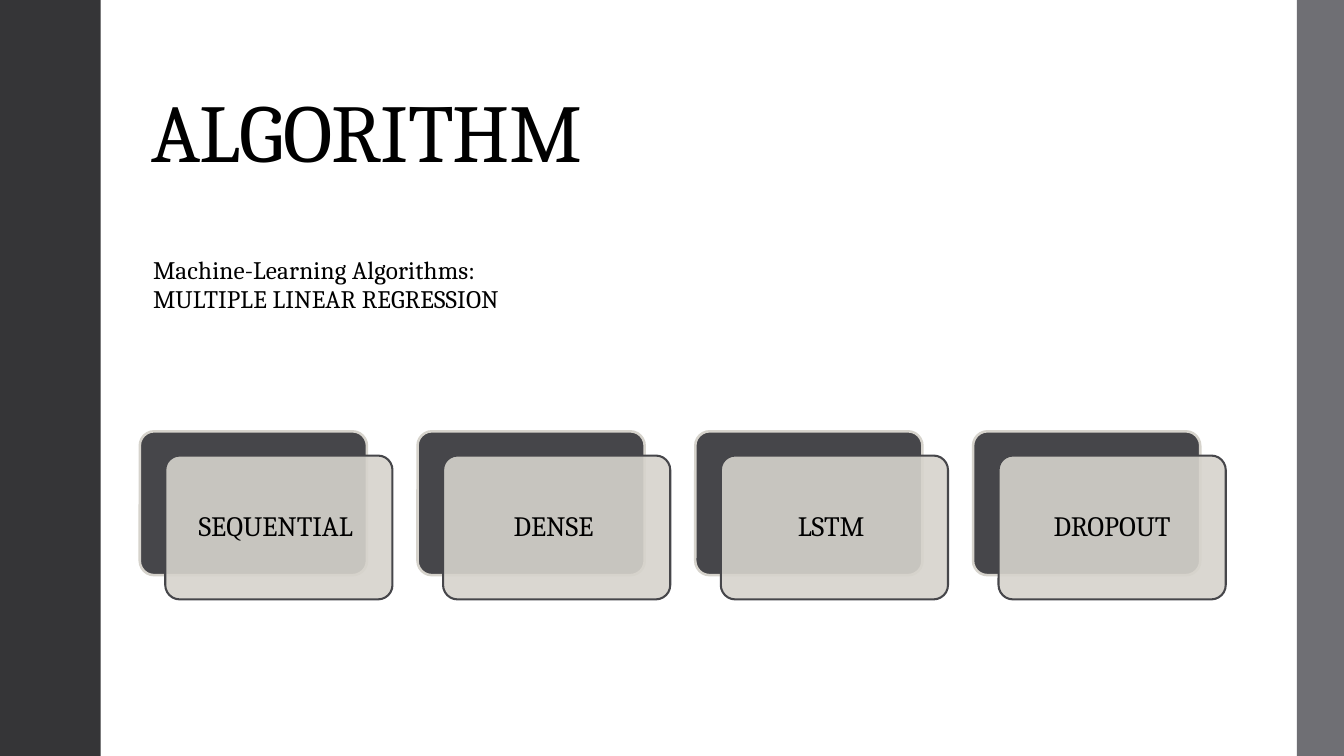
import pptx
import pptx.dml.color
import pptx.enum.shapes
import pptx.enum.text
import pptx.oxml
import pptx.oxml.ns
import pptx.util

Inches = pptx.util.Inches
Pt = pptx.util.Pt
Shape = pptx.enum.shapes.MSO_SHAPE
Anchor = pptx.enum.text.MSO_ANCHOR
Align = pptx.enum.text.PP_ALIGN

WIDTH = 10
HEIGHT = WIDTH * 9 / 16

DARK = "353537"
GREY = "6F6F74"
SLATE = "46464A"
SAND = "D6D3CC"


def color(code):
    return pptx.dml.color.RGBColor.from_string(code)


class Page:
    font = "Cambria"
    ink = "000000"

    def __init__(self, slide):
        self.slide = slide

    def block(self, kind, left, top, width, height, fill):
        """Add a plain filled shape."""
        shape = self.slide.shapes.add_shape(
            kind, Inches(left), Inches(top), Inches(width), Inches(height))
        shape.shadow.inherit = False
        shape.fill.solid()
        shape.fill.fore_color.rgb = color(fill)
        shape.line.fill.background()
        return shape

    def card(self, left, top, width, height, fill, line, weight, alpha=100):
        """Add a rounded, outlined card; alpha is opacity in percent."""
        shape = self.block(Shape.ROUNDED_RECTANGLE,
                           left, top, width, height, fill)
        shape.adjustments[0] = 0.1
        shape.line.color.rgb = color(line)
        shape.line.width = Pt(weight)
        if alpha < 100:
            tone = shape.fill._xPr.find(".//" + pptx.oxml.ns.qn("a:srgbClr"))
            tone.append(pptx.oxml.parse_xml(
                f'<a:alpha {pptx.oxml.ns.nsdecls("a")} val="{alpha * 1000}"/>'))

    def text(self, lines, left, top, width, height, size, anchor=Anchor.TOP,
             align=Align.LEFT, space=0.9, track=0, inset=None):
        """Add a text box; track is letter spacing in points."""
        box = self.slide.shapes.add_textbox(
            Inches(left), Inches(top), Inches(width), Inches(height))
        frame = box.text_frame
        frame.word_wrap = True
        frame.vertical_anchor = anchor
        if inset is not None:
            frame.margin_left = frame.margin_right = Inches(inset)
            frame.margin_top = frame.margin_bottom = Inches(inset)
        frame.text = "\n".join(lines)
        for para in frame.paragraphs:
            para.alignment = align
            para.line_spacing = space
            para.font.name = self.font
            para.font.size = Pt(size)
            para.font.color.rgb = color(self.ink)
            if track:
                for run in para.runs:
                    run.font._element.set("spc", str(round(track * 100)))


def main():
    deck = pptx.Presentation()
    deck.slide_width = Inches(WIDTH)
    deck.slide_height = Inches(HEIGHT)
    page = Page(deck.slides.add_slide(deck.slide_layouts[6]))

    # Side bands
    page.block(Shape.RECTANGLE, 0, 0, 0.75, HEIGHT, DARK)
    page.block(Shape.RECTANGLE, 9.65, 0, 0.38, HEIGHT, GREY)

    # Title and intro
    page.text(["ALGORITHM"], 1.03, 0.3, 8.09, 1.09, 44,
              anchor=Anchor.BOTTOM, track=-0.5)
    page.text(["Machine-Learning Algorithms:", "MULTIPLE LINEAR REGRESSION"],
              1.04, 1.86, 8.09, 0.89, 13.5, space=0.95, track=0.1)

    # Row of layer cards, each a dark back with a pale front
    labels = ["SEQUENTIAL ", "DENSE ", "LSTM ", "DROPOUT"]
    step = 6.2 / 3
    wide, high = 1.69, 1.07
    for i, label in enumerate(labels):
        left = 1.04 + i * step
        page.card(left, 3.21, wide, high, SLATE, SAND, 1.35)
        page.card(left + 0.19, 3.39, wide, high, SAND, SLATE, 1.1, alpha=90)
        page.text([label], left + 0.22, 3.42, wide - 0.06, high - 0.06, 15,
                  anchor=Anchor.MIDDLE, align=Align.CENTER, inset=0.06)

    deck.save("out.pptx")


if __name__ == "__main__":
    main()
